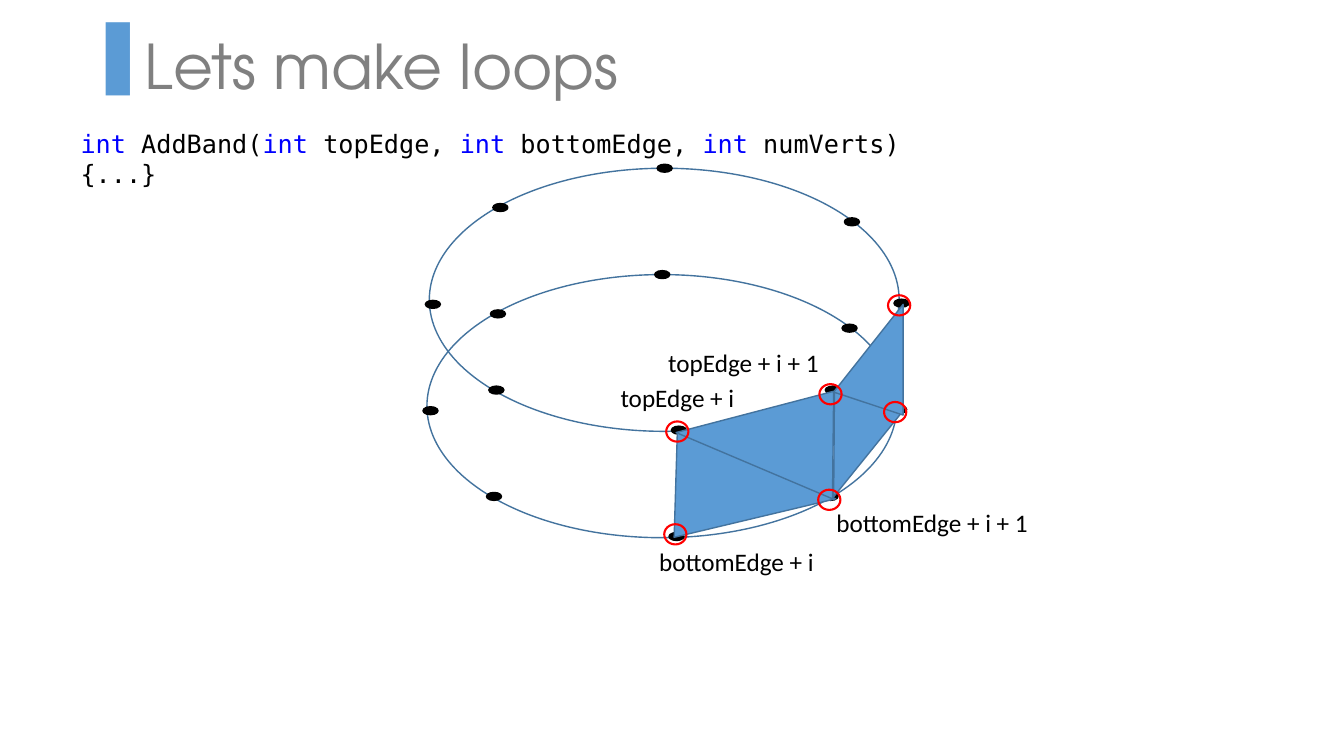
from dataclasses import dataclass

from lxml import etree
from pptx import Presentation
from pptx.dml.color import RGBColor
from pptx.enum.shapes import MSO_SHAPE
from pptx.enum.text import MSO_ANCHOR, MSO_AUTO_SIZE, PP_ALIGN
from pptx.oxml.ns import qn
from pptx.util import Cm, Pt

OVAL = MSO_SHAPE.OVAL
TOP = MSO_ANCHOR.TOP
LEFT = PP_ALIGN.LEFT
NO_FIT = MSO_AUTO_SIZE.NONE


@dataclass(frozen=True)
class Theme:
    accent: str = "5B9BD5"
    outline: str = "43739E"
    ink: str = "000000"
    title: str = "808080"
    keyword: str = "0000FF"
    marker: str = "FF0000"
    title_font: str = "TeX Gyre Adventor"
    code_font: str = "DejaVu Sans Mono"
    label_font: str = "Calibri"
    title_size: float = 44
    text_size: float = 18
    thin: float = 1
    thick: float = 1.5


class Deck:
    """Draws themed elements on the current slide, with lengths in centimetres."""

    def __init__(self, prs, theme):
        self.t = theme
        self.s = prs.slides.add_slide(prs.slide_layouts[5])

    def font(self, r, name, size, color):
        r.font.name = name
        r.font.size = Pt(size)
        r.font.color.rgb = RGBColor.from_string(color)

    def paint(self, sp, fill, line, width):
        sp.shadow.inherit = False
        if fill:
            sp.fill.solid()
            sp.fill.fore_color.rgb = RGBColor.from_string(fill)
        else:
            sp.fill.background()
        sp.line.color.rgb = RGBColor.from_string(line)
        sp.line.width = Pt(width)

    def title(self, text, x, y, w, h, indent):
        sp = self.s.shapes.title
        sp.left, sp.top, sp.width, sp.height = Cm(x), Cm(y), Cm(w), Cm(h)
        tf = sp.text_frame
        tf.text = text
        tf.auto_size = NO_FIT
        tf.vertical_anchor = TOP
        p = tf.paragraphs[0]
        p.alignment = LEFT
        p.line_spacing = 0.9
        pPr = p._p.get_or_add_pPr()
        pPr.set("marL", str(Cm(indent)))
        pPr.set("indent", str(-Cm(indent)))
        color = etree.SubElement(pPr, qn("a:buClr"))
        etree.SubElement(color, qn("a:srgbClr"), val=self.t.accent)
        etree.SubElement(pPr, qn("a:buChar"), char="▐")
        self.font(p.runs[0], self.t.title_font, self.t.title_size, self.t.title)

    def text(self, parts, x, y, w, font, wrap=False):
        sp = self.s.shapes.add_textbox(Cm(x), Cm(y), Cm(w), Cm(1.02))
        tf = sp.text_frame
        tf.word_wrap = wrap
        for part, color in parts:
            r = tf.paragraphs[0].add_run()
            r.text = part
            self.font(r, font, self.t.text_size, color)

    def label(self, text, x, y, w):
        self.text([(text, self.t.ink)], x, y, w, self.t.label_font)

    def oval(self, shapes, x, y, w, h, fill, line, width):
        sp = shapes.add_shape(OVAL, Cm(x), Cm(y), Cm(w), Cm(h))
        self.paint(sp, fill, line, width)

    def loop(self, dx, dy, dots):
        t = self.t
        shapes = self.s.shapes.add_group_shape().shapes
        self.oval(shapes, 10.82 + dx, 4.24 + dy, 11.84, 6.63, None, t.outline, t.thin)
        for x, y in dots:
            self.oval(shapes, x + dx, y + dy, 0.38, 0.2, t.ink, t.ink, t.thin)

    def triangle(self, *corners):
        points = [(Cm(x), Cm(y)) for x, y in corners]
        fb = self.s.shapes.build_freeform(*points[0])
        fb.add_line_segments(points[1:], close=True)
        self.paint(fb.convert_to_shape(), self.t.accent, self.t.outline, self.t.thin)

    def marker(self, x, y):
        self.oval(self.s.shapes, x, y, 0.56, 0.51, None, self.t.marker, self.t.thick)


VERTICES = [(22.53, 7.54), (21.28, 5.49), (16.56, 4.14), (16.92, 10.74),
            (10.72, 7.57), (12.42, 5.13), (12.32, 9.73), (20.8, 9.73)]
LOOP_OFFSETS = [(0, 0), (-0.06, 2.68)]
LABELS = [("topEdge + i", 15.39, 9.5, 3.43),
          ("topEdge + i + 1", 16.59, 8.64, 4.98),
          ("bottomEdge + i", 16.36, 13.64, 4.47),
          ("bottomEdge + i + 1", 20.83, 12.65, 6.76)]
TRIANGLES = [((17.07, 10.9), (16.99, 13.54), (21.06, 12.57)),
             ((17.04, 10.9), (21.01, 9.86), (20.98, 12.57)),
             ((21.03, 9.88), (22.73, 10.39), (21.01, 12.52)),
             ((22.76, 7.67), (22.76, 10.46), (21.01, 9.88))]
MARKERS = [(16.79, 10.62), (16.74, 13.21), (20.62, 12.34),
           (20.65, 9.68), (22.28, 10.13), (22.38, 7.44)]
CODE = [" AddBand(", " topEdge, ", " bottomEdge, ", " numVerts) {...}"]


def main():
    prs = Presentation()
    prs.slide_width, prs.slide_height = Cm(33.87), Cm(19.05)
    theme = Theme()
    deck = Deck(prs, theme)
    deck.title("Lets make loops", 1.83, 0.79, 30.5, 3.76, 1.57)
    for dx, dy in LOOP_OFFSETS:
        deck.loop(dx, dy, VERTICES)
    for label in LABELS:
        deck.label(*label)
    for corners in TRIANGLES:
        deck.triangle(*corners)
    for spot in MARKERS:
        deck.marker(*spot)
    parts = [part for code in CODE
             for part in (("int", theme.keyword), (code, theme.ink))]
    deck.text(parts, 1.78, 3.1, 21.62, theme.code_font, wrap=True)
    prs.save("out.pptx")


if __name__ == "__main__":
    main()
